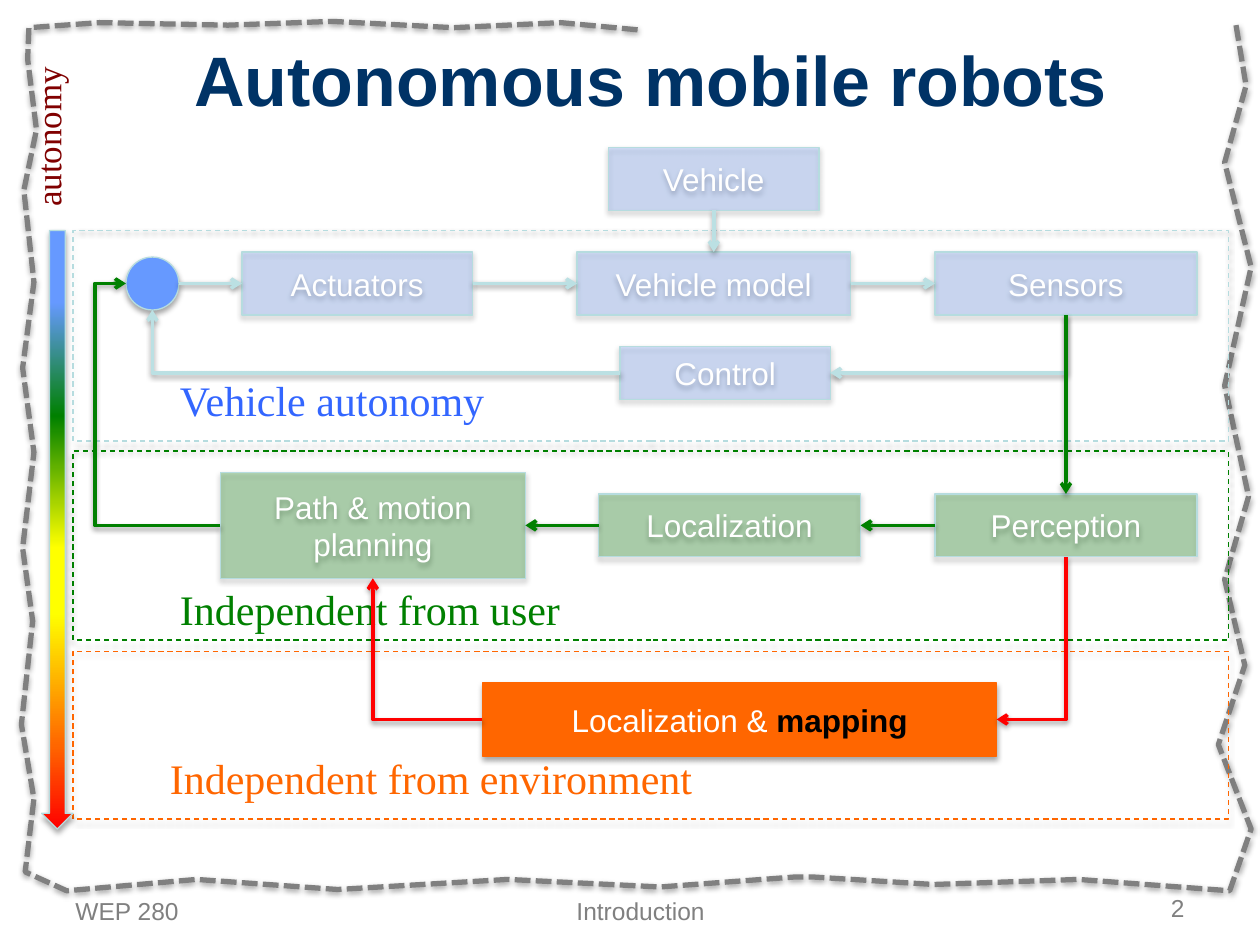
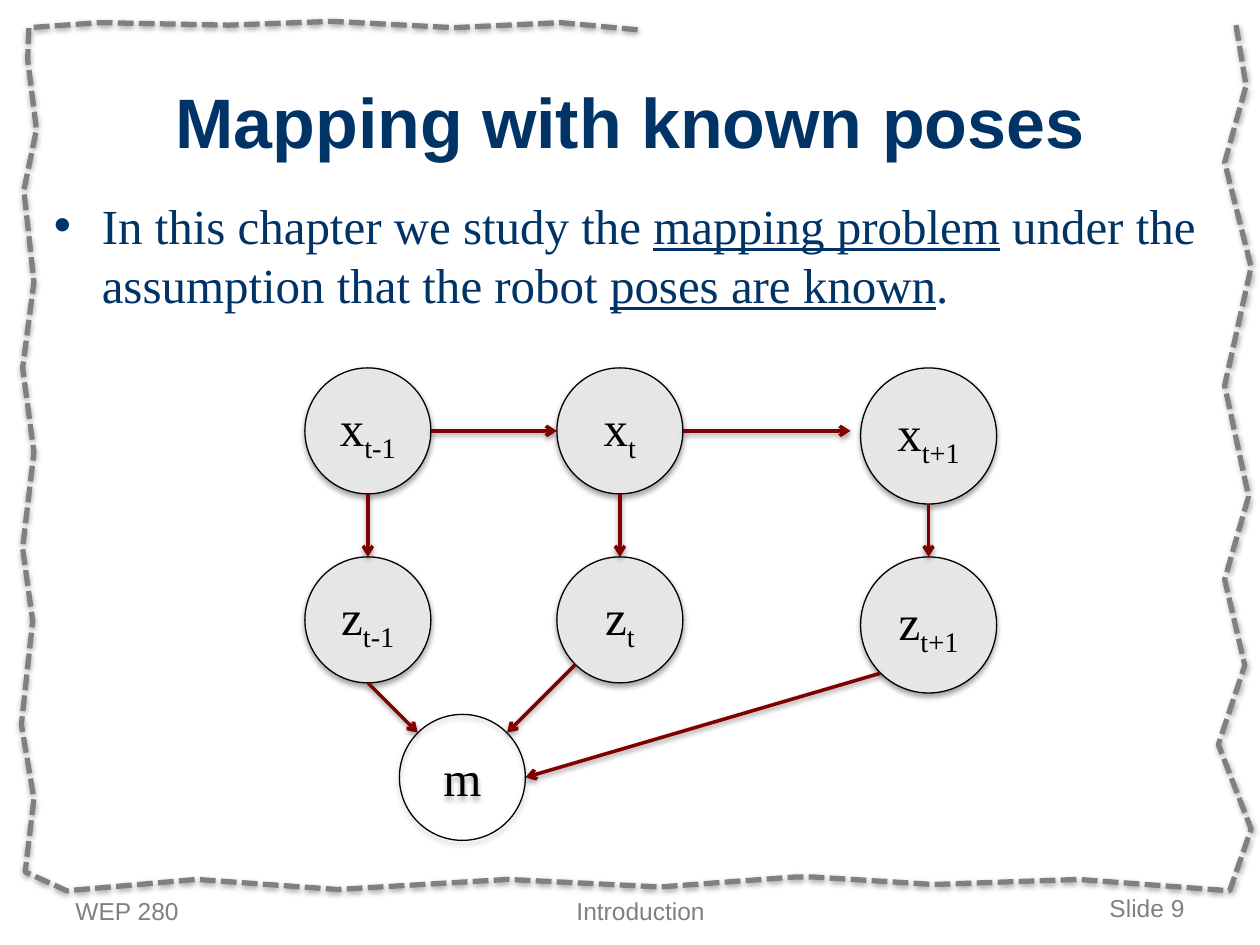
from lxml.etree import SubElement
from pptx import Presentation
from pptx.dml.color import RGBColor
from pptx.enum.dml import MSO_LINE
from pptx.enum.shapes import MSO_CONNECTOR, MSO_SHAPE
from pptx.enum.text import MSO_ANCHOR, PP_ALIGN
from pptx.oxml.ns import qn
from pptx.util import Inches, Pt

COLORS = {
    "navy": "003366", "gray": "808080", "white": "FFFFFF", "black": "000000",
    "blue": "6699FF", "caption_blue": "3366FF", "pale": "B6DCDF",
    "pale_arrow": "BBE0E3", "green": "008000", "orange": "FF6600",
    "red": "FF0000", "yellow": "FFFF00", "maroon": "800000", "node": "E6E6E6",
}
SANS, SERIF = "Arial", "Times New Roman"
LEFT, RIGHT, TOP, BOTTOM = (-1, 0), (1, 0), (0, -1), (0, 1)
DIAGONAL = 0.71
FRAME_POINTS = [
    (9.81, 0.2), (9.89, 0.68), (9.72, 1.29), (9.93, 2.12), (9.72, 3.06),
    (9.91, 3.94), (9.72, 4.6), (9.88, 5.28), (9.67, 5.91), (9.93, 6.58),
    (9.76, 7.07), (8.56, 6.98), (7.41, 7.02), (6.44, 6.96), (6.32, 6.96),
    (5.24, 7.04), (4.03, 6.98), (2.68, 7.06), (1.56, 6.98), (0.53, 7.07),
    (0.2, 6.92), (0.27, 6.34), (0.17, 5.75), (0.26, 4.93), (0.18, 4.35),
    (0.27, 3.59), (0.18, 2.92), (0.27, 2.24), (0.19, 1.51), (0.29, 1.03),
    (0.22, 0.47), (0.23, 0.22), (0.79, 0.18), (1.81, 0.2), (2.64, 0.17),
    (3.6, 0.22), (4.45, 0.18), (5.09, 0.24),
]


def rgb(name):
    return RGBColor.from_string(COLORS[name])


def inches(box):
    return [Inches(value) for value in box]


def write_text(frame, spans, size=18, font=SANS, color="white", bold=False,
               align=PP_ALIGN.LEFT, anchor=MSO_ANCHOR.TOP, wrap=True):
    """Write one paragraph; spans is a string or (text, format changes) pairs."""
    frame.word_wrap = wrap
    frame.vertical_anchor = anchor
    para = frame.paragraphs[0]
    para.alignment = align
    for text, changes in [(spans, {})] if isinstance(spans, str) else spans:
        span = para.add_run()
        span.text = text
        span.font.name = font
        span.font.size = Pt(size)
        span.font.bold = changes.get("bold", bold)
        span.font.underline = changes.get("underline", False)
        span.font.color.rgb = rgb(changes.get("color", color))
        if changes.get("subscript"):
            span.font._element.set("baseline", "-25000")
    return para


def add_text(page, box, spans, **style):
    text_box = page.shapes.add_textbox(*inches(box))
    write_text(text_box.text_frame, spans, **style)
    return text_box


def add_shadow(shape, distance=20000, opacity=38):
    effects = SubElement(shape._element.spPr, qn("a:effectLst"))
    shadow = SubElement(effects, qn("a:outerShdw"), blurRad="40000",
                        dist=str(distance), dir="5400000", rotWithShape="0")
    color = SubElement(shadow, qn("a:srgbClr"), val=COLORS["black"])
    SubElement(color, qn("a:alpha"), val=str(opacity * 1000))


def add_shape(page, kind, box, fill=None, opacity=100, line="pale", dashed=False):
    shape = page.shapes.add_shape(kind, *inches(box))
    if fill:
        shape.fill.solid()
        shape.fill.fore_color.rgb = rgb(fill)
    else:
        shape.fill.background()
    if opacity < 100:
        color = shape._element.spPr.find(qn("a:solidFill")).find(qn("a:srgbClr"))
        SubElement(color, qn("a:alpha"), val=str(opacity * 1000))
    shape.line.color.rgb = rgb(line)
    shape.line.width = Pt(0.75)
    if dashed:
        shape.line.dash_style = MSO_LINE.DASH
    add_shadow(shape, 23000, 35)
    return shape


def add_node(page, kind, box, spans, size=18, font=SANS, color="white", **look):
    node = add_shape(page, kind, box, **look)
    write_text(node.text_frame, spans, size=size, font=font, color=color,
               align=PP_ALIGN.CENTER, anchor=MSO_ANCHOR.MIDDLE)
    return node


def side(shape, direction):
    """Point on the shape, in steps of half its size from its centre."""
    across, down = direction
    return (round(shape.left + shape.width * (1 + across) / 2),
            round(shape.top + shape.height * (1 + down) / 2))


def add_arrow(page, start, end, color, bend=None, reverse=False):
    """bend is "corner" (across, then up or down) or the share of the width
    at which the line turns; reverse puts the arrowhead at the start."""
    kind = MSO_CONNECTOR.ELBOW if bend else MSO_CONNECTOR.STRAIGHT
    arrow = page.shapes.add_connector(kind, *start, *end)
    geometry = arrow._element.spPr.find(qn("a:prstGeom"))
    if bend == "corner":
        geometry.set("prst", "bentConnector2")
    elif bend:
        SubElement(geometry.find(qn("a:avLst")), qn("a:gd"), name="adj1",
                   fmla=f"val {round(bend * 100000)}")
    arrow.line.color.rgb = rgb(color)
    arrow.line.width = Pt(2)
    end_tag = "a:headEnd" if reverse else "a:tailEnd"
    SubElement(arrow._element.spPr.find(qn("a:ln")), qn(end_tag), type="arrow")
    add_shadow(arrow)


def add_frame(page):
    first, *others = [inches(point) for point in FRAME_POINTS]
    builder = page.shapes.build_freeform(*first)
    builder.add_line_segments(others, close=False)
    frame = builder.convert_to_shape()
    frame.fill.background()
    frame.line.color.rgb = rgb("gray")
    frame.line.width = Pt(3)
    frame.line.dash_style = MSO_LINE.SQUARE_DOT
    add_shadow(frame)


def start_page(deck, title, title_box, number):
    page = deck.slides.add_slide(deck.slide_layouts[5])
    add_frame(page)
    heading = page.shapes.title
    heading.left, heading.top, heading.width, heading.height = inches(title_box)
    write_text(heading.text_frame, title, size=40, color="navy", bold=True,
               align=PP_ALIGN.CENTER, anchor=MSO_ANCHOR.MIDDLE)
    footers = [(0.5, 2.33, "WEP 280", PP_ALIGN.LEFT),
               (3.42, 3.33, "Introduction", PP_ALIGN.CENTER),
               (7.17, 2.33, number, PP_ALIGN.RIGHT)]
    for left, width, text, align in footers:
        anchor = MSO_ANCHOR.MIDDLE if text == number else MSO_ANCHOR.TOP
        add_text(page, (left, 7.06, width, 0.29), text, size=14, color="gray",
                 align=align, anchor=anchor)
    return page


def add_band(page, box, border, caption, caption_box, caption_color, nodes, **look):
    """Dashed band with its boxes and caption, placed from the band's corner."""
    def within(part):
        return (box[0] + part[0], box[1] + part[1], *part[2:])

    add_shape(page, MSO_SHAPE.RECTANGLE, box, line=border, dashed=True)
    shapes = [add_node(page, MSO_SHAPE.RECTANGLE, within(part), spans, **look)
              for spans, part in nodes]
    add_text(page, within(caption_box), caption, size=24, font=SERIF,
             color=caption_color)
    return shapes


def add_autonomy_scale(page, box):
    left, top = box[:2]
    label = add_text(page, (left - 0.61, top - 0.97, 1.32, 0.44), "autonomy",
                     size=20, font=SERIF, color="maroon", wrap=False)
    label.rotation = 270
    scale = add_shape(page, MSO_SHAPE.DOWN_ARROW, box)
    scale.fill.gradient()
    scale.fill.gradient_angle = 270
    stops = scale._element.spPr.find(qn("a:gradFill")).find(qn("a:gsLst"))
    stops.clear()
    for position, color in [(12, "blue"), (31, "green"), (53, "yellow"),
                            (64, "yellow"), (86, "orange"), (100, "red")]:
        stop = SubElement(stops, qn("a:gs"), pos=str(position * 1000))
        SubElement(stop, qn("a:srgbClr"), val=COLORS[color])


def build_robot_page(deck):
    page = start_page(deck, "Autonomous mobile robots", (0.5, 0.33, 9.33, 0.58), "2")
    vehicle_look = {"fill": "blue", "opacity": 25}
    actuators, model, sensors, control = add_band(
        page, (0.58, 1.83, 9.17, 1.67), "pale",
        "Vehicle autonomy", (0.75, 1.09, 2.92, 0.51), "caption_blue",
        [("Actuators", (1.34, 0.17, 1.83, 0.5)),
         ("Vehicle model", (4, 0.17, 2.17, 0.5)),
         ("Sensors", (6.84, 0.17, 2.08, 0.5)),
         ("Control", (4.34, 0.92, 1.67, 0.42))], **vehicle_look)
    planning, localization, perception = add_band(
        page, (0.58, 3.58, 9.17, 1.5), "green",
        "Independent from user", (0.75, 1, 3.33, 0.51), "green",
        [("Path & motion planning", (1.17, 0.17, 2.42, 0.84)),
         ("Localization", (4.17, 0.34, 2.08, 0.5)),
         ("Perception", (6.84, 0.34, 2.08, 0.5))], fill="green", opacity=27)
    mapping, = add_band(
        page, (0.58, 5.17, 9.17, 1.33), "orange",
        "Independent from environment", (0.67, 0.75, 4.4, 0.51), "orange",
        [([("Localization & ", {}), ("mapping", {"color": "black", "bold": True})],
          (3.25, 0.25, 4.08, 0.58))], fill="orange", line="orange")
    vehicle = add_node(page, MSO_SHAPE.RECTANGLE, (4.83, 1.17, 1.67, 0.5),
                       "Vehicle", **vehicle_look)
    junction = add_shape(page, MSO_SHAPE.OVAL, (1, 2.04, 0.42, 0.42), fill="blue")
    add_autonomy_scale(page, (0.33, 1.83, 0.25, 4.75))

    add_arrow(page, side(control, RIGHT), side(sensors, BOTTOM), "pale_arrow",
              bend="corner", reverse=True)
    add_arrow(page, side(control, LEFT), side(junction, BOTTOM), "pale_arrow",
              bend="corner")
    for start, start_side, end, end_side, color in [
            (junction, RIGHT, actuators, LEFT, "pale_arrow"),
            (actuators, RIGHT, model, LEFT, "pale_arrow"),
            (model, RIGHT, sensors, LEFT, "pale_arrow"),
            (vehicle, BOTTOM, model, TOP, "pale_arrow"),
            (sensors, BOTTOM, perception, TOP, "green"),
            (perception, LEFT, localization, RIGHT, "green"),
            (localization, LEFT, planning, RIGHT, "green")]:
        add_arrow(page, side(start, start_side), side(end, end_side), color)
    add_arrow(page, side(planning, LEFT), side(junction, LEFT), "green", bend=1.33)
    add_arrow(page, side(mapping, RIGHT), side(perception, BOTTOM), "red",
              bend="corner", reverse=True)
    add_arrow(page, side(mapping, LEFT), side(planning, BOTTOM), "red", bend="corner")


def add_bullet(page, box, spans):
    text_box = page.shapes.add_textbox(*inches(box))
    para = write_text(text_box.text_frame, spans, size=28, font=SERIF, color="navy")
    para.space_before = Pt(5.6)
    settings = para._p.get_or_add_pPr()
    settings.set("marL", str(Inches(0.38)))
    settings.set("indent", str(Inches(-0.38)))
    SubElement(settings, qn("a:buFont"), typeface=SANS)
    SubElement(settings, qn("a:buChar"), char="•")


def add_pose_graph(page, box):
    left, top = box[:2]
    look = {"size": 28, "font": SERIF, "color": "black", "line": "black"}
    columns = [("t-1", 0, 1), ("t", 2, 1), ("t+1", 4.41, 1.08)]
    poses, readings = [
        [add_node(page, MSO_SHAPE.OVAL, (left + across, top + down, size, size),
                  [(letter, {}), (index, {"subscript": True})], fill="node", **look)
         for index, across, size in columns]
        for letter, down in [("x", 0), ("z", 1.5)]]
    world = add_node(page, MSO_SHAPE.OVAL, (left + 0.75, top + 2.75, 1, 1), "m", **look)

    before, now, _ = poses
    add_arrow(page, side(before, RIGHT), side(now, LEFT), "maroon")
    x, y = side(now, RIGHT)
    add_arrow(page, (x, y), (x + Inches(1.33), y), "maroon")
    for pose, reading in zip(poses, readings):
        add_arrow(page, side(pose, BOTTOM), side(reading, TOP), "maroon")
    lower_left = (-DIAGONAL, DIAGONAL)
    world_sides = [(-DIAGONAL, -DIAGONAL), (DIAGONAL, -DIAGONAL), RIGHT]
    for reading, start, end in zip(readings, [BOTTOM, lower_left, lower_left],
                                   world_sides):
        add_arrow(page, side(reading, start), side(world, end), "maroon")


def build_mapping_page(deck):
    page = start_page(deck, "Mapping with known poses", (0.5, 0.33, 9, 1.25), "Slide 9")
    add_bullet(page, (0.33, 1.5, 9.33, 1.08), [
        ("In this chapter we study the ", {}),
        ("mapping problem", {"underline": True}),
        (" under the assumption that the robot ", {}),
        ("poses are known", {"underline": True}),
        (".", {})])
    add_pose_graph(page, (2.42, 2.92, 5.49, 3.75))


def main():
    deck = Presentation()
    deck.slide_width, deck.slide_height = Inches(10), Inches(7.5)
    build_robot_page(deck)
    build_mapping_page(deck)
    deck.save("out.pptx")


if __name__ == "__main__":
    main()
